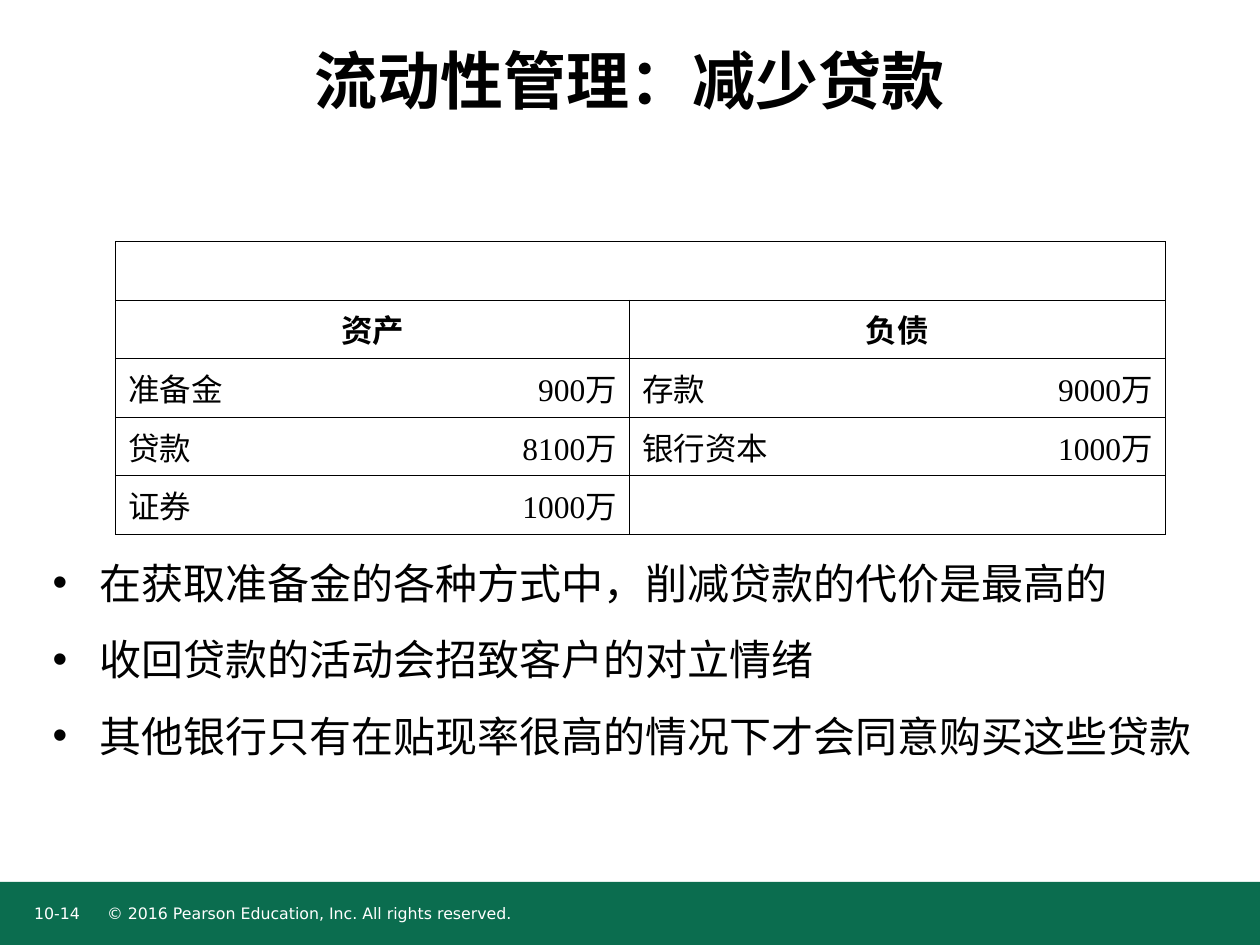
from lxml import etree
from pptx import Presentation
from pptx import util as u
from pptx.dml.color import RGBColor
from pptx.enum import shapes, text
from pptx.oxml import ns

BLACK, WHITE, GREEN = "000000", "FFFFFF", "0B6D4F"
SANS, SERIF = "DejaVu Sans", "Times New Roman"
LEFT, CENTER, RIGHT = text.PP_ALIGN.LEFT, text.PP_ALIGN.CENTER, text.PP_ALIGN.RIGHT
TOP, MIDDLE = text.MSO_ANCHOR.TOP, text.MSO_ANCHOR.MIDDLE

TITLE = "流动性管理：减少贷款"
HEADINGS = ["资产", "负债"]
BALANCES = [
    ["准备金", "900万", "存款", "9000万"],
    ["贷款", "8100万", "银行资本", "1000万"],
    ["证券", "1000万", "", ""],
]
POINTS = [
    "在获取准备金的各种方式中，削减贷款的代价是最高的",
    "收回贷款的活动会招致客户的对立情绪",
    "其他银行只有在贴现率很高的情况下才会同意购买这些贷款",
]


def color(value):
    return RGBColor.from_string(value)


def style(paragraph, size, font, tone, bold=False, align=LEFT):
    paragraph.alignment = align
    paragraph.font.size = u.Pt(size)
    paragraph.font.name = font
    paragraph.font.bold = bold
    paragraph.font.color.rgb = color(tone)


def add_frame(page, left, top, width, height, anchor=TOP):
    box = page.shapes.add_textbox(u.Cm(left), u.Cm(top), u.Cm(width), u.Cm(height))
    frame = box.text_frame
    frame.word_wrap = True
    frame.vertical_anchor = anchor
    frame.margin_left = frame.margin_top = frame.margin_right = frame.margin_bottom = 0
    return frame


def add_title(page, left, top, width, height):
    paragraph = add_frame(page, left, top, width, height, MIDDLE).paragraphs[0]
    paragraph.text = TITLE
    style(paragraph, 36, SANS, BLACK, True, CENTER)


def add_footer(page, left, top, width, height):
    band = page.shapes.add_shape(
        shapes.MSO_SHAPE.RECTANGLE, u.Cm(left), u.Cm(top), u.Cm(width), u.Cm(height))
    band.shadow.inherit = False
    band.fill.solid()
    band.fill.fore_color.rgb = color(GREEN)
    band.line.fill.background()
    labels = [(2.16, 15, "© 2016 Pearson Education, Inc. All rights reserved."),
              (0.69, 1.1, "10-14")]
    for offset, span, label in labels:
        paragraph = add_frame(page, left + offset, top + 0.43, span, 0.5).paragraphs[0]
        paragraph.text = label
        style(paragraph, 9, SANS, WHITE)


def draw_borders(cell, sides):
    properties = cell._tc.get_or_add_tcPr()
    for side in "LRTB":
        line = etree.SubElement(properties, ns.qn(f"a:ln{side}"), w=str(u.Pt(0.45)))
        if side in sides:
            fill = etree.SubElement(line, ns.qn("a:solidFill"))
            etree.SubElement(fill, ns.qn("a:srgbClr"), val=BLACK)
        else:
            etree.SubElement(line, ns.qn("a:noFill"))


def fill_cell(cell, words, sides, bold, align):
    draw_borders(cell, sides)
    cell.fill.solid()
    cell.fill.fore_color.rgb = color(WHITE)
    cell.text = words
    style(cell.text_frame.paragraphs[0], 18, SERIF, BLACK, bold, align)


def add_balance_sheet(page, left, top, width, height):
    rows = [[""] * 4, [HEADINGS[0], "", HEADINGS[1], ""]] + BALANCES
    table = page.shapes.add_table(
        len(rows), 4, u.Cm(left), u.Cm(top), u.Cm(width), u.Cm(height)).table
    table.first_row = table.horz_banding = False
    for column, share in zip(table.columns, (5.05, 5.31, 5.9, 4.9)):
        column.width = u.Cm(share)
    for row in table.rows:
        row.height = u.Cm(height / len(rows))
    table.cell(0, 0).merge(table.cell(0, 3))
    for start in (0, 2):
        table.cell(1, start).merge(table.cell(1, start + 1))
    for r, row in enumerate(rows):
        for c, words in enumerate(row):
            heading = r < 2
            sides = "LRTB" if heading else "LTB" if c % 2 == 0 else "RTB"
            align = CENTER if heading else RIGHT if c % 2 else LEFT
            fill_cell(table.cell(r, c), words, sides, heading, align)


def add_points(page, left, top, width, height):
    frame = add_frame(page, left, top, width, height)
    for index, point in enumerate(POINTS):
        paragraph = frame.add_paragraph() if index else frame.paragraphs[0]
        paragraph.text = point
        properties = paragraph._p.get_or_add_pPr()
        properties.set("marL", str(u.Cm(0.95)))
        properties.set("indent", str(u.Cm(-0.95)))
        if index:
            paragraph.space_before = u.Pt(15)
        etree.SubElement(properties, ns.qn("a:buFont"), typeface="Arial")
        etree.SubElement(properties, ns.qn("a:buChar"), char="•")
        style(paragraph, 24, SANS, BLACK)


def main():
    deck = Presentation()
    deck.slide_width, deck.slide_height = u.Cm(25.4), u.Cm(19.05)
    page = deck.slides.add_slide(deck.slide_layouts[6])
    add_footer(page, 0, 17.78, 25.4, 1.27)
    add_title(page, 1.06, 0, 23.28, 3.18)
    add_points(page, 1.06, 11.23, 23.5, 6.15)
    add_balance_sheet(page, 2.33, 4.87, 21.16, 5.9)
    deck.save("out.pptx")


if __name__ == "__main__":
    main()
